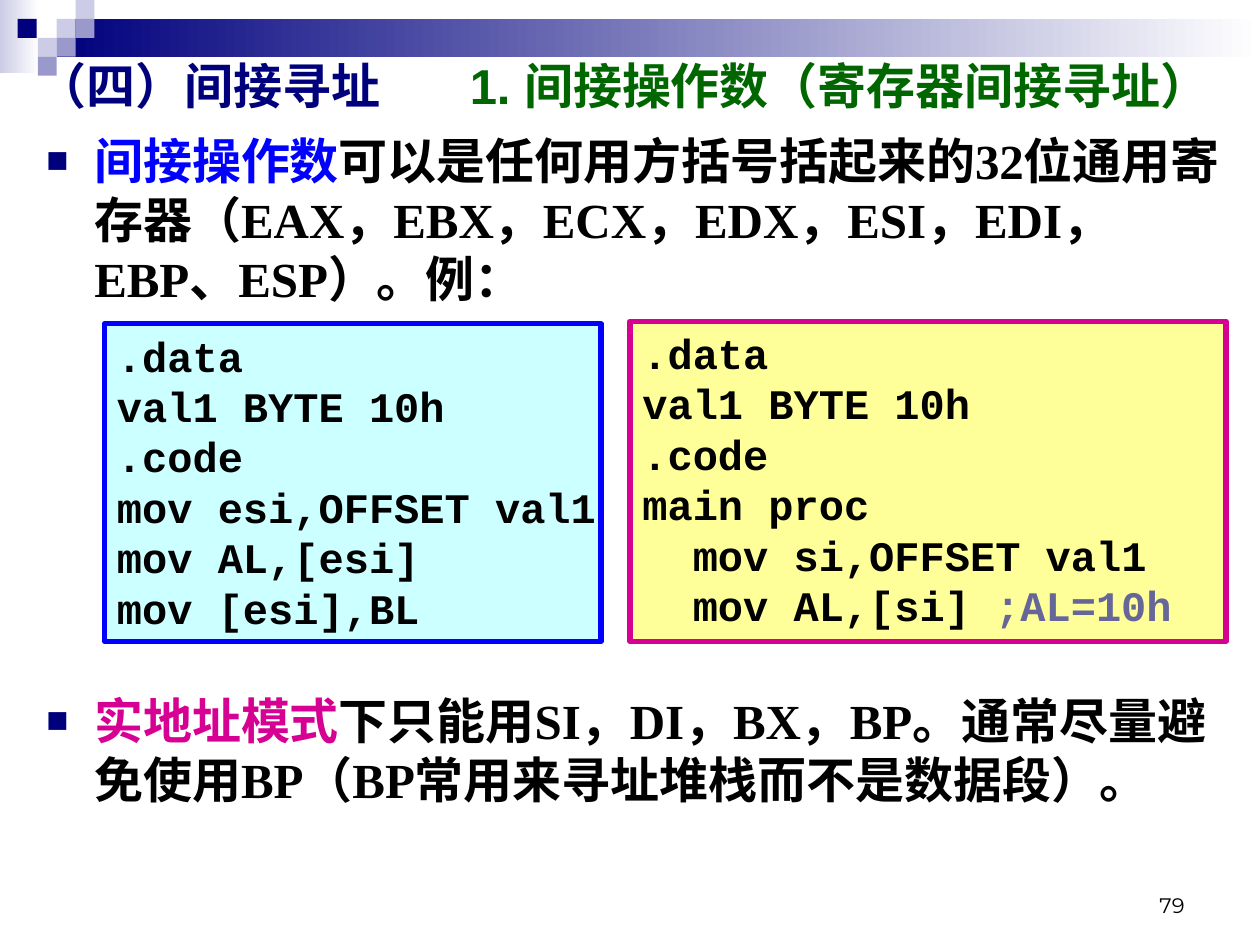
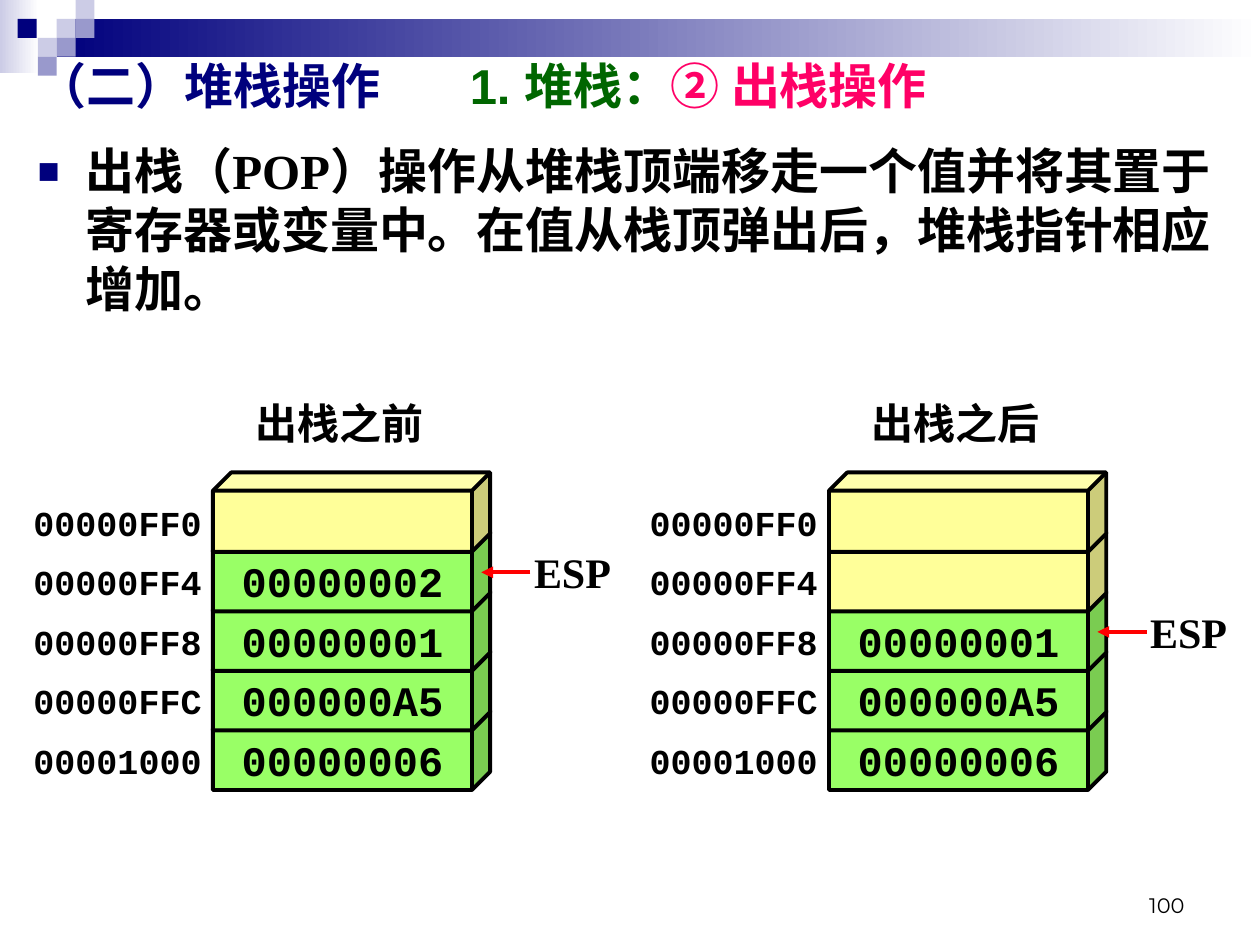
from lxml import etree
from pptx import Presentation
from pptx.dml.color import RGBColor
from pptx.enum.lang import MSO_LANGUAGE_ID
from pptx.enum.shapes import MSO_CONNECTOR, MSO_SHAPE
from pptx.enum.text import MSO_ANCHOR, PP_ALIGN
from pptx.oxml.ns import qn
from pptx.util import Inches, Pt

RECTANGLE, CUBE = MSO_SHAPE.RECTANGLE, MSO_SHAPE.CUBE
STRAIGHT = MSO_CONNECTOR.STRAIGHT
TOP, MIDDLE, BOTTOM = MSO_ANCHOR.TOP, MSO_ANCHOR.MIDDLE, MSO_ANCHOR.BOTTOM
LEFT, CENTER, RIGHT = PP_ALIGN.LEFT, PP_ALIGN.CENTER, PP_ALIGN.RIGHT
CHINESE = MSO_LANGUAGE_ID.SIMPLIFIED_CHINESE

COLORS = {
    "black": "000000", "white": "FFFFFF", "navy": "00007D",
    "lavender": "CCCCE6", "periwinkle": "9999CC", "blue": "0000FF",
    "magenta": "D60093", "pink": "FF0066", "dark green": "006600",
    "comment": "666699", "cyan": "CCFFFF", "yellow": "FFFF99",
    "green": "99FF66", "red": "FF0000",
}
SERIF, SANS, MONO, NUMBER = "Times New Roman", "Arial", "Courier New", "Montserrat"
TITLE_TAB = 3.43
LINE_PITCH = 1.2


def add_box(page, kind, place, fill, line=None, line_width=3):
    """Add a preset shape; a pair of fill names makes a left-to-right gradient."""
    box = page.shapes.add_shape(kind, *[Inches(n) for n in place])
    box.shadow.inherit = False
    if isinstance(fill, tuple):
        box.fill.gradient()
        box.fill.gradient_angle = 0
        for stop, name in zip(box.fill.gradient_stops, fill):
            stop.color.rgb = RGBColor.from_string(COLORS[name])
    else:
        box.fill.solid()
        box.fill.fore_color.rgb = RGBColor.from_string(COLORS[fill])
    if line:
        box.line.color.rgb = RGBColor.from_string(COLORS[line])
        box.line.width = Pt(line_width)
    else:
        box.line.fill.background()
    return box


def write(page, text, place=None, box=None, size=24, font=SERIF, bold=True,
          align=LEFT, anchor=MIDDLE, wrap=False, bullet=False, tab=None,
          fixed_pitch=False):
    """Write paragraphs, each a string or a list of (text, color) spans."""
    if box is None:
        box = page.shapes.add_textbox(*[Inches(n) for n in place])
    frame = box.text_frame
    frame.word_wrap = wrap
    frame.vertical_anchor = anchor
    for index, spans in enumerate(text):
        para = frame.add_paragraph() if index else frame.paragraphs[0]
        properties = para._p.get_or_add_pPr()
        if bullet:
            properties.set("marL", str(Inches(0.38)))
            properties.set("indent", str(Inches(-0.38)))
            color = etree.SubElement(properties, qn("a:buClr"))
            etree.SubElement(color, qn("a:srgbClr"), val=COLORS["navy"])
            etree.SubElement(properties, qn("a:buSzPct"), val="75000")
            etree.SubElement(properties, qn("a:buFont"), typeface=SANS)
            etree.SubElement(properties, qn("a:buChar"), char="■")
        if tab:
            tabs = etree.SubElement(properties, qn("a:tabLst"))
            etree.SubElement(tabs, qn("a:tab"), pos=str(Inches(tab)), algn="l")
        para.alignment = align
        if fixed_pitch:
            para.line_spacing = Pt(size * LINE_PITCH)
        if isinstance(spans, str):
            spans = [(spans, "black")]
        for words, name in spans:
            span = para.add_run()
            span.text = words
            span.font.name = font
            span.font.size = Pt(size)
            span.font.bold = bold
            span.font.language_id = CHINESE
            span.font.color.rgb = RGBColor.from_string(COLORS[name])


deck = Presentation()
deck.slide_width, deck.slide_height = Inches(10), Inches(7.5)

# Shared header, title and page number
HEADER = [
    ((0, 0, 0.31, 0.58), ("lavender", "white")),
    ((0.45, 0.15, 9.55, 0.3), ("navy", "white")),
]
HEADER += [((x, y, 0.15, 0.15), name) for x, y, name in [
    (0.45, 0.15, "lavender"), (0.6, 0, "lavender"), (0.6, 0.15, "periwinkle"),
    (0.3, 0.3, "lavender"), (0.14, 0.15, "navy"),
    (0.45, 0.3, "periwinkle"), (0.3, 0.45, "periwinkle"),
]]
TITLES = [
    ("79", [("（四）间接寻址\t", "navy"),
            ("1. 间接操作数（寄存器间接寻址）", "dark green")]),
    ("100", [("（二）堆栈操作\t", "navy"), ("1. 堆栈：", "dark green"),
             ("② 出栈操作", "pink")]),
]
pages = []
for number, title in TITLES:
    page = deck.slides.add_slide(deck.slide_layouts[6])
    for place, fill in HEADER:
        add_box(page, RECTANGLE, place, fill)
    write(page, [title], (0.2, 0.36, 9.61, 0.63), size=28, font=SANS,
          wrap=True, tab=TITLE_TAB)
    write(page, [number], (7.17, 6.83, 2.33, 0.5), size=12, font=NUMBER,
          bold=False, align=RIGHT, anchor=BOTTOM, wrap=True)
    pages.append(page)
addressing_page, stack_page = pages

# Bulleted body text
BODY = [
    (addressing_page, (0.27, 0.99, 9.53, 1.55), [
        ("间接操作数", "blue"),
        ("可以是任何用方括号括起来的32位通用寄存器（EAX，EBX，ECX，EDX，ESI，"
         "EDI，EBP、ESP）。例：", "black")]),
    (addressing_page, (0.27, 5.43, 9.53, 1.55), [
        ("实地址模式", "magenta"),
        ("下只能用SI，DI，BX，BP。通常尽量避免使用BP"
         "（BP常用来寻址堆栈而不是数据段）。", "black")]),
    (stack_page, (0.2, 1.07, 9.61, 1.81), [
        ("出栈（POP）操作从堆栈顶端移走一个值并将其置于寄存器或变量中。"
         "在值从栈顶弹出后，堆栈指针相应增加。", "black")]),
]
for page, place, spans in BODY:
    write(page, [spans], place, size=28, anchor=TOP, wrap=True, bullet=True,
          fixed_pitch=True)

# Code panels
CODE_PANELS = [
    ((0.83, 2.57, 3.94, 2.52), "cyan", "blue", [
        ".data", "val1 BYTE 10h", ".code", "mov esi,OFFSET val1",
        "mov AL,[esi]", "mov [esi],BL"]),
    ((5, 2.55, 4.73, 2.54), "yellow", "magenta", [
        ".data", "val1 BYTE 10h", ".code", "main proc",
        "  mov si,OFFSET val1",
        [("  mov AL,[si] ", "black"), (";AL=10h", "comment")]]),
]
for place, fill, line, code in CODE_PANELS:
    panel = add_box(addressing_page, RECTANGLE, place, fill, line)
    write(addressing_page, code, box=panel, font=MONO, anchor=TOP,
          fixed_pitch=True)

# Stack before and after the pop
ADDRESSES = ["00000FF0", "00000FF4", "00000FF8", "00000FFC", "00001000"]
STACKS = [
    (0, "出栈之前", ["", "00000002", "00000001", "000000A5", "00000006"]),
    (4.89, "出栈之后", ["", "", "00000001", "000000A5", "00000006"]),
]
STACK_TOP, STACK_LAST = 3.75, 5.64
ROW_PITCH = (STACK_LAST - STACK_TOP) / (len(ADDRESSES) - 1)
for offset, caption, values in STACKS:
    for row in reversed(range(len(ADDRESSES))):
        top = STACK_TOP + row * ROW_PITCH
        cell = add_box(stack_page, CUBE, (offset + 1.69, top, 2.2, 0.63),
                       "green" if values[row] else "yellow", "black", 2.25)
        cell.adjustments[0] = 0.23
        if values[row]:
            write(stack_page, [values[row]], box=cell, font=MONO, align=CENTER)
        write(stack_page, [ADDRESSES[row]], (offset + 0.12, top + 0.16, 1.58, 0.47),
              size=20, font=MONO, align=RIGHT)

    pointer_top = STACK_TOP + values.count("") * ROW_PITCH
    arrow_y = Inches(pointer_top + 0.32)
    arrow = stack_page.shapes.add_connector(
        STRAIGHT, Inches(offset + 4.21), arrow_y, Inches(offset + 3.82), arrow_y)
    arrow.line.color.rgb = RGBColor.from_string(COLORS["red"])
    arrow.line.width = Pt(2.25)
    etree.SubElement(arrow.line._get_or_add_ln(), qn("a:tailEnd"), type="triangle")
    etree.SubElement(arrow._element.spPr, qn("a:effectLst"))
    write(stack_page, ["ESP"], (offset + 4.14, pointer_top + 0.08, 0.86, 0.47))
    write(stack_page, [caption], (offset + 1.93, 3.12, 1.57, 0.47))

deck.save("out.pptx")
